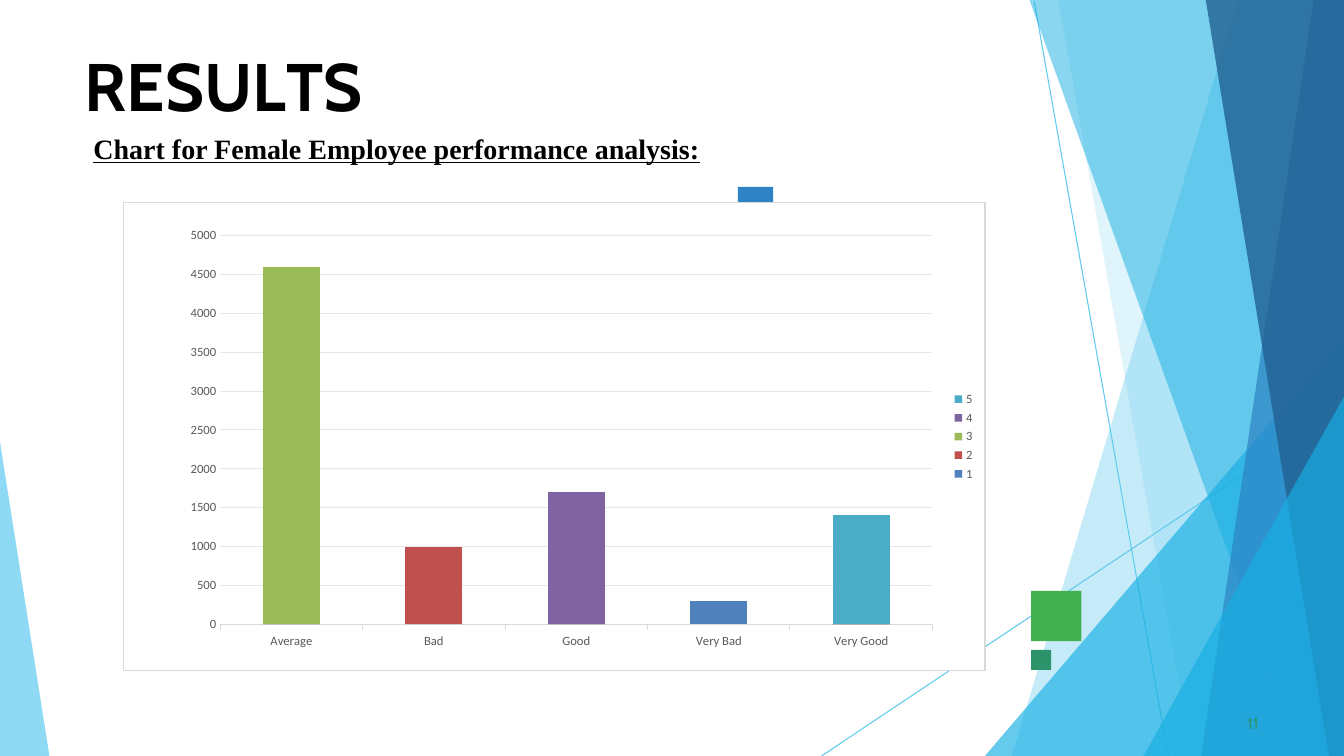
from lxml import etree
from pptx import Presentation
from pptx.chart.data import CategoryChartData
from pptx.dml.color import RGBColor
from pptx.enum.chart import XL_CHART_TYPE as CT, XL_LEGEND_POSITION as LP, XL_TICK_MARK as TM
from pptx.enum.shapes import MSO_CONNECTOR as MC, MSO_SHAPE as MS
from pptx.oxml import parse_xml
from pptx.oxml.ns import nsdecls, qn
from pptx.util import Pt

W, H = 960, 540
COLORS = {
    "sky": "5FCAEE", "cyan": "17AFE3", "blue": "2D83C3", "navy": "226192",
    "green": "42AF51", "teal": "2D936B", "black": "000000", "white": "FFFFFF",
    "label": "595959", "axis": "D9D9D9", "grid": "E6E6E6",
    "1": "4F81BD", "2": "C0504D", "3": "9BBB59", "4": "8064A2", "5": "4BACC6",
}
CATEGORIES = ["Average", "Bad", "Good", "Very Bad", "Very Good"]
# Rating, category it fills, number of employees
RATINGS = [("1", "Very Bad", 300), ("2", "Bad", 1000), ("3", "Average", 4600),
           ("4", "Good", 1700), ("5", "Very Good", 1400)]


def rgb(name):
    return RGBColor.from_string(COLORS[name])


def paint(sp, color, alpha=100):
    sp.shadow.inherit = False
    sp.line.fill.background()
    sp.fill.solid()
    sp.fill.fore_color.rgb = rgb(color)
    if alpha < 100:
        clr = sp._element.spPr.find(qn("a:solidFill"))[0]
        etree.SubElement(clr, qn("a:alpha")).set("val", str(alpha * 1000))


def style(font, size, color, name, bold=None):
    font.size, font.name, font.bold = Pt(size), name, bold
    font.color.rgb = rgb(color)


def add_facets(s, x, y, w, h):
    """Overlapping translucent facets and thin lines at the slide edges."""
    for x1, y1, x2, y2 in [(738.7, 0.7, 834.5, h), (w, 290.9, 586.8, h)]:
        ln = s.shapes.add_connector(MC.STRAIGHT, Pt(x + x1), Pt(y + y1), Pt(x + x2), Pt(y + y2))
        ln.line.color.rgb, ln.line.width = rgb("sky"), Pt(0.75)
        etree.SubElement(ln._element.spPr, qn("a:effectLst"))

    def band(top, foot):  # from the top edge to the bottom edge
        return [(w, 0), (top, 0), (foot, h), (w, h)]

    def wedge(side, top, foot):  # triangle in a bottom corner
        return [(side, top), (foot, h), (side, h)]

    facets = [
        (band(884.3, 722.9), "sky", 36), (band(756, 851.2), "sky", 20),
        (wedge(w, 240, 703.5), "cyan", 66), (band(735.4, 929.5), "cyan", 50),
        (band(938.3, 858), "blue", 70), (band(861.3, 949.2), "navy", 80),
        (wedge(w, 283.2, 816.7), "cyan", 66), (wedge(0, 316, 35.3), "sky", 70),
    ]
    for corners, color, alpha in facets:
        pts = [(Pt(x + px), Pt(y + py)) for px, py in corners]
        fb = s.shapes.build_freeform(*pts[0], scale=1)
        fb.add_line_segments(pts[1:], close=True)
        paint(fb.convert_to_shape(), color, alpha)


def add_square(s, x, y, size, color):
    paint(s.shapes.add_shape(MS.RECTANGLE, Pt(x), Pt(y), Pt(size), Pt(size)), color)


def add_text(s, x, y, w, h, runs, size, color, font, bold=None, underline=None,
             inset=(0, 0.7, 0, 0), indent=0, before=0):
    """One-line text; runs are (text, letter spacing in points)."""
    tf = s.shapes.add_textbox(Pt(x), Pt(y), Pt(w), Pt(h)).text_frame
    tf.word_wrap = True
    tf.margin_left, tf.margin_top, tf.margin_right, tf.margin_bottom = map(Pt, inset)
    p = tf.paragraphs[0]
    p.space_before = Pt(before)
    p._p.get_or_add_pPr().set("marL", str(Pt(indent)))
    for text, spacing in runs:
        r = p.add_run()
        r.text = text
        style(r.font, size, color, font, bold)
        r.font.underline = underline
        if spacing:
            r._r.get_or_add_rPr().set("spc", str(round(spacing * 100)))


def add_ratings_chart(s, x, y, w, h):
    data = CategoryChartData()
    data.categories = CATEGORIES
    for rating, category, count in RATINGS:
        data.add_series(rating, [count if c == category else 0 for c in CATEGORIES])
    chart = s.shapes.add_chart(CT.COLUMN_STACKED, Pt(x), Pt(y), Pt(w), Pt(h), data).chart
    chart.has_title = False
    style(chart.font, 10, "black", "Calibri")

    # Columns
    plot = chart.plots[0]
    plot.gap_width, plot.overlap, plot.vary_by_categories = 150, 100, False
    for series in plot.series:
        series.format.fill.solid()
        series.format.fill.fore_color.rgb = rgb(series.name)

    # Axes and legend
    cat, val = chart.category_axis, chart.value_axis
    cat.major_tick_mark, val.major_tick_mark = TM.OUTSIDE, TM.NONE
    val.minimum_scale, val.maximum_scale, val.major_unit = 0, 5000, 500
    val.has_major_gridlines = True
    val.format.line.fill.background()
    for line, color in [(cat.format.line, "axis"), (val.major_gridlines.format.line, "grid")]:
        line.color.rgb, line.width = rgb(color), Pt(0.75)
    chart.has_legend = True
    legend = chart.legend
    legend.position, legend.include_in_layout = LP.RIGHT, False
    for font in (cat.tick_labels.font, val.tick_labels.font, legend.font):
        style(font, 9, "label", "Calibri")

    # Plot area position, chart background and border
    area = chart._chartSpace.chart.plotArea
    for old in area.findall(qn("c:layout")):
        area.remove(old)
    sizes = "".join(f'<c:{k} val="{v}"/>' for k, v in
                    [("x", 0.112), ("y", 0.071), ("w", 0.827), ("h", 0.83)])
    area.insert(0, parse_xml(
        f'<c:layout {nsdecls("c")}><c:manualLayout><c:layoutTarget val="inner"/>'
        f'<c:xMode val="edge"/><c:yMode val="edge"/>{sizes}</c:manualLayout></c:layout>'))
    chart._chartSpace.chart.addnext(parse_xml(
        f'<c:spPr {nsdecls("c", "a")}>'
        f'<a:solidFill><a:srgbClr val="{COLORS["white"]}"/></a:solidFill>'
        f'<a:ln w="{Pt(0.75)}"><a:solidFill><a:srgbClr val="{COLORS["axis"]}"/></a:solidFill></a:ln>'
        '</c:spPr>'))


def build_results_slide(prs):
    s = prs.slides.add_slide(prs.slide_layouts[6])
    add_facets(s, 0, 0, W, H)
    for square in [(736.5, 422, 36, "green"), (527, 133.4, 25.2, "blue"),
                   (736.5, 464.3, 14.3, "teal")]:
        add_square(s, *square)
    title = [("R", 0), ("E", -0.4), ("S", 0.1), ("U", -0.3), ("L", -4), ("TS", 0)]
    add_text(s, 59.6, 31, 841, 59.5, title, 48, "black", "Cabin", bold=True,
             indent=1, before=1.1)
    add_text(s, 888, 509.5, 18, 15, [("11", 0.1)], 11, "teal", "Cabin",
             indent=3, before=0.6)
    add_text(s, 59.6, 90.4, 468, 31.5, [("Chart for Female Employee performance analysis:", 0)],
             20, "black", "Times New Roman", bold=True, underline=True,
             inset=(7.2, 3.6, 7.2, 3.6))
    add_ratings_chart(s, 88, 144.2, 616, 335.3)


def main():
    prs = Presentation()
    prs.slide_width, prs.slide_height = Pt(W), Pt(H)
    build_results_slide(prs)
    prs.save("out.pptx")


if __name__ == "__main__":
    main()
